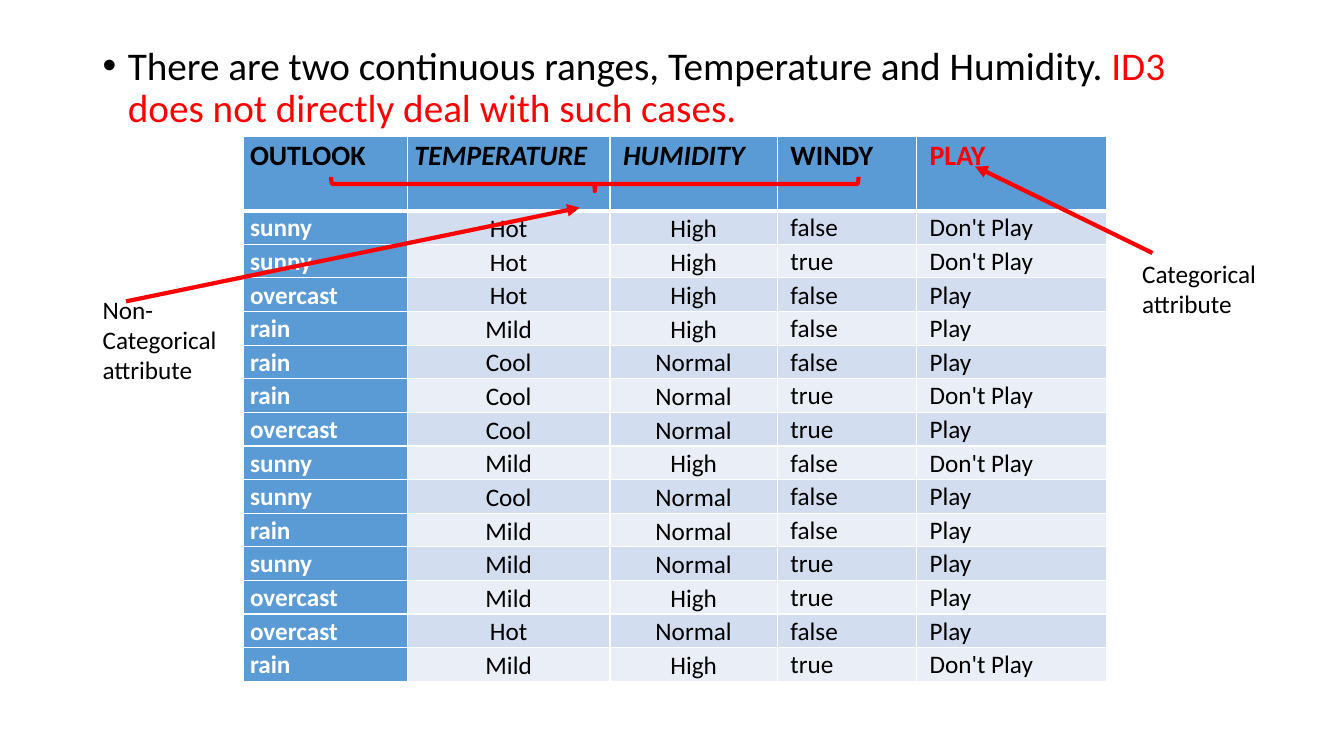
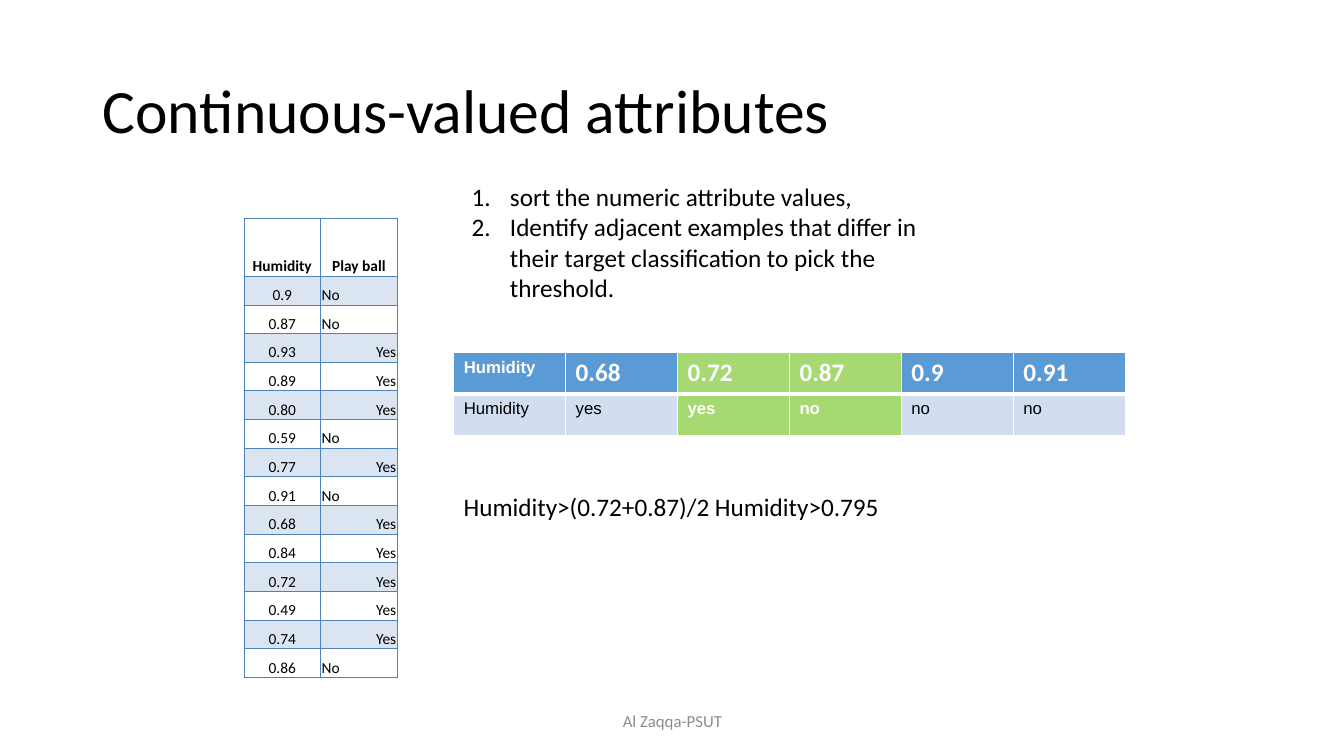
import pptx
import pptx.dml.color
import pptx.enum.shapes
import pptx.enum.text
import pptx.util
from lxml import etree
from pptx.oxml.ns import qn

Inches = pptx.util.Inches
Pt = pptx.util.Pt
Align = pptx.enum.text.PP_ALIGN
Anchor = pptx.enum.text.MSO_ANCHOR

BLACK, WHITE, RED = "000000", "FFFFFF", "FF0000"
BLUE, PALE, LIGHT = "5B9BD5", "D2DEEF", "EAEFF7"
GREEN, EDGE, BAND, GREY = "92D050", "4F81BD", "DBE5F1", "8C8C8C"


def paint(fill, color):
    fill.solid()
    fill.fore_color.rgb = pptx.dml.color.RGBColor.from_string(color)


def write(para, text, size=18, color=BLACK, bold=False, italic=False,
          font="Calibri", align=Align.LEFT, space=1.0):
    """Add a run to the paragraph."""
    para.alignment = align
    para.line_spacing = space
    run = para.add_run()
    run.text = text
    run.font.name = font
    run.font.size = Pt(size)
    run.font.bold = bold
    run.font.italic = italic
    paint(run.font.fill, color)


deck = pptx.Presentation()
deck.slide_width = Inches(13.33)
deck.slide_height = Inches(7.5)
first, second = [deck.slides.add_slide(deck.slide_layouts[6]) for _ in range(2)]

# Text boxes
boxes = {}
for name, slide, left, top, width, height, anchor in [
    ("lead", first, 0.92, 0.41, 11.5, 0.95, Anchor.TOP),
    ("target", first, 11.23, 2.51, 1.7, 0.71, Anchor.TOP),
    ("inputs", first, 0.92, 2.87, 1.7, 1.01, Anchor.TOP),
    ("title", second, 0.92, 0.4, 11.5, 1.45, Anchor.MIDDLE),
    ("steps", second, 4.58, 1.75, 5, 1.31, Anchor.TOP),
    ("rule", second, 4.5, 4.83, 5, 0.4, Anchor.TOP),
    ("footer", second, 4.42, 6.95, 4.5, 0.4, Anchor.MIDDLE),
]:
    frame = slide.shapes.add_textbox(
        Inches(left), Inches(top), Inches(width), Inches(height)).text_frame
    frame.word_wrap = True
    frame.vertical_anchor = anchor
    boxes[name] = frame

lead = boxes["lead"].paragraphs[0]
lead.space_before = Pt(10)
write(lead, "There are two continuous ranges, Temperature and Humidity. ",
      size=28, space=0.9)
write(lead, "ID3 does not directly deal with such cases.",
      size=28, color=RED, space=0.9)
write(boxes["target"].paragraphs[0], "Categorical attribute")
write(boxes["inputs"].paragraphs[0], "Non-Categorical attribute")
write(boxes["title"].paragraphs[0], "Continuous-valued attributes",
      size=44, space=0.9)
steps = [boxes["steps"].paragraphs[0], boxes["steps"].add_paragraph()]
write(steps[0], "sort the numeric attribute values,")
write(steps[1], "Identify adjacent examples that differ in their target "
      "classification to pick the threshold.")
write(boxes["rule"].paragraphs[0], "Humidity>(0.72+0.87)/2 Humidity>0.795")
write(boxes["footer"].paragraphs[0], "Al Zaqqa-PSUT", size=12, color=GREY,
      align=Align.CENTER)

# Bullet and numbers
for para, indent, tag, key, value in [
    (lead, 0.25, "a:buChar", "char", "•"),
    (steps[0], 0.38, "a:buAutoNum", "type", "arabicPeriod"),
    (steps[1], 0.38, "a:buAutoNum", "type", "arabicPeriod"),
]:
    props = para._p.get_or_add_pPr()
    props.set("marL", str(Inches(indent)))
    props.set("indent", str(-Inches(indent)))
    etree.SubElement(props, qn("a:buFont")).set("typeface", "Arial")
    etree.SubElement(props, qn(tag)).set(key, value)

# Table frames: columns, head row, total height
tables = []
for slide, left, top, cols, head, height, count in [
    (first, 2.41, 1.35, [1.63, 2.01, 1.66, 1.38, 1.89], 0.74, 5.41, 15),
    (second, 2.42, 2.17, [0.76] * 2, 0.57, 4.55, 15),
    (second, 4.5, 3.5, [1.11] * 6, 0.41, 0.82, 2),
]:
    table = slide.shapes.add_table(
        count, len(cols), Inches(left), Inches(top),
        Inches(sum(cols)), Inches(height)).table
    table.first_row = table.horz_banding = False
    for col, width in zip(table.columns, cols):
        col.width = Inches(width)
    for row in table.rows:
        row.height = Inches((height - head) / (count - 1))
    table.rows[0].height = Inches(head)
    tables.append(table)
weather, games, split = tables

# Weather table
days = [
    ("OUTLOOK", "TEMPERATURE", "HUMIDITY", "WINDY", "PLAY"),
    ("sunny", "Hot", "High", "false", "Don't Play"),
    ("sunny", "Hot", "High", "true", "Don't Play"),
    ("overcast", "Hot", "High", "false", "Play"),
    ("rain", "Mild", "High", "false", "Play"),
    ("rain", "Cool", "Normal", "false", "Play"),
    ("rain", "Cool", "Normal", "true", "Don't Play"),
    ("overcast", "Cool", "Normal", "true", "Play"),
    ("sunny", "Mild", "High", "false", "Don't Play"),
    ("sunny", "Cool", "Normal", "false", "Play"),
    ("rain", "Mild", "Normal", "false", "Play"),
    ("sunny", "Mild", "Normal", "true", "Play"),
    ("overcast", "Mild", "High", "true", "Play"),
    ("overcast", "Hot", "Normal", "false", "Play"),
    ("rain", "Mild", "High", "true", "Don't Play"),
]
for r, day in enumerate(days):
    for c, text in enumerate(day):
        cell = weather.cell(r, c)
        para = cell.text_frame.paragraphs[0]
        cell.margin_top = cell.margin_bottom = 0
        cell.margin_left = Inches(0.13 if c > 1 else 0.07)
        cell.margin_right = Inches(0.07)
        paint(cell.fill, BLUE if r == 0 or c == 0 else PALE if r % 2 else LIGHT)
        if r == 0:
            write(para, text, size=20, color=RED if c == 4 else BLACK,
                  bold=True, italic=c in (1, 2), space=1.07)
        elif c in (1, 2):
            cell.vertical_anchor = Anchor.BOTTOM
            cell.margin_left = cell.margin_right = cell.margin_top = Inches(0.01)
            write(para, text, align=Align.CENTER)
        else:
            write(para, text, color=BLACK if c else WHITE, bold=c == 0,
                  space=1.07)

# Humidity and play table
plays = [
    ("Humidity", "Play ball"),
    ("0.9", "No"), ("0.87", "No"), ("0.93", "Yes"), ("0.89", "Yes"),
    ("0.80", "Yes"), ("0.59", "No"), ("0.77", "Yes"), ("0.91", "No"),
    ("0.68", "Yes"), ("0.84", "Yes"), ("0.72", "Yes"), ("0.49", "Yes"),
    ("0.74", "Yes"), ("0.86", "No"),
]
sides = {"No": Align.LEFT, "Yes": Align.RIGHT}
for r, play in enumerate(plays):
    for c, text in enumerate(play):
        cell = games.cell(r, c)
        cell.vertical_anchor = Anchor.BOTTOM
        cell.margin_left = cell.margin_right = cell.margin_top = Inches(0.01)
        cell.margin_bottom = 0
        if r % 2:
            paint(cell.fill, BAND)
        else:
            cell.fill.background()
        write(cell.text_frame.paragraphs[0], text, size=11, bold=r == 0,
              align=sides.get(text, Align.CENTER))

# Sorted values, with the pair around the threshold in green
values = [
    ("Humidity", "0.68", "0.72", "0.87", "0.9", "0.91"),
    ("Humidity", "yes", "yes", "no", "no", "no"),
]
for r, line in enumerate(values):
    for c, text in enumerate(line):
        cell = split.cell(r, c)
        pair = c in (2, 3)
        strong = r == 0 or pair
        number = r == 0 and c > 0
        paint(cell.fill, GREEN if pair else PALE if r else BLUE)
        if pair:
            shade = cell._tc.tcPr.find(".//" + qn("a:srgbClr"))
            etree.SubElement(shade, qn("a:alpha")).set("val", "80000")
        write(cell.text_frame.paragraphs[0], text, size=18 if number else 12,
              font="Calibri" if number else "Arial",
              color=WHITE if strong else BLACK, bold=strong)

# Cell borders, heavier under the head row
for table, color, thin, thick in [
    (weather, WHITE, 1, 3), (games, EDGE, 0.5, 1), (split, WHITE, 1, 3),
]:
    for r, row in enumerate(table.rows):
        for cell in row.cells:
            props = cell._tc.get_or_add_tcPr()
            for i, side in enumerate("LRTB"):
                heavy = (r, side) in ((0, "B"), (1, "T"))
                edge = etree.Element(qn("a:ln" + side))
                edge.set("w", str(Pt(thick if heavy else thin)))
                solid = etree.SubElement(edge, qn("a:solidFill"))
                etree.SubElement(solid, qn("a:srgbClr")).set("val", color)
                props.insert(i, edge)

# Arrows and brace over the weather table
for x1, y1, x2, y2 in [(11.43, 2.51, 9.67, 1.65), (1.25, 2.99, 5.75, 2.06)]:
    arrow = first.shapes.add_connector(
        pptx.enum.shapes.MSO_CONNECTOR.STRAIGHT,
        Inches(x1), Inches(y1), Inches(x2), Inches(y2))
    paint(arrow.line.fill, RED)
    arrow.line.width = Pt(3)
    tip = etree.SubElement(arrow.line._get_or_add_ln(), qn("a:tailEnd"))
    tip.set("type", "triangle")
    etree.SubElement(arrow._element.spPr, qn("a:effectLst"))

brace = first.shapes.add_shape(
    pptx.enum.shapes.MSO_SHAPE.LEFT_BRACE,
    Inches(5.83), Inches(-0.79), Inches(0.14), Inches(5.23))
brace.rotation = 270
brace.shadow.inherit = False
brace.fill.background()
paint(brace.line.fill, RED)
brace.line.width = Pt(3)

deck.save("out.pptx")
